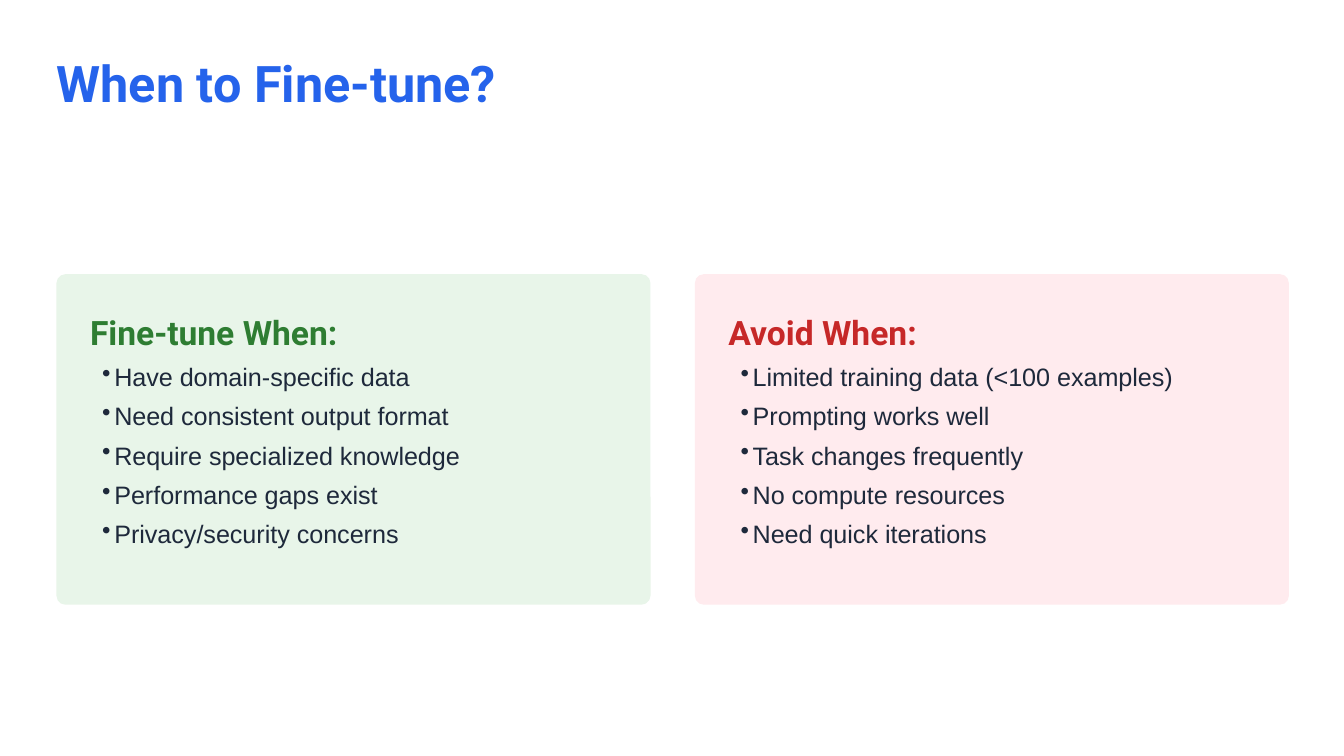
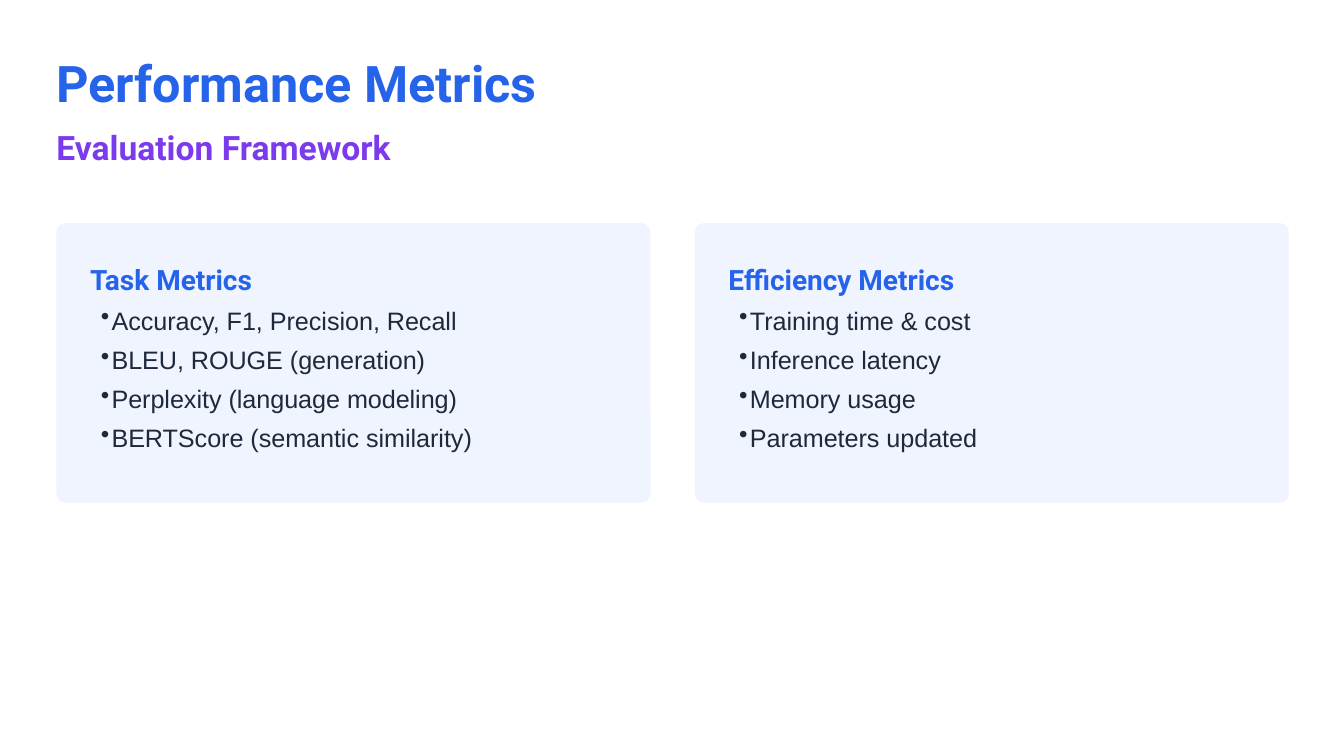
from lxml.etree import SubElement
from pptx import Presentation
from pptx.dml.color import RGBColor
from pptx.enum.shapes import MSO_SHAPE as Shape
from pptx.oxml.ns import qn
from pptx.util import Inches, Pt

BLUE, PURPLE, GREEN, RED = "2563EB", "7C3AED", "2E7D32", "C62828"
INK, WHITE = "1E293B", "FFFFFF"
PALE_BLUE, PALE_GREEN, PALE_RED = "F0F4FF", "E8F5E9", "FFEBEE"

HEADING_FONT, BODY_FONT = "Roboto", "Arial"
SLIDE_WIDTH = 10
MARGIN = 0.42
CARD_WIDTH, CARD_STEP, CARD_PADDING, CORNER_RADIUS = 4.42, 4.75, 0.25, 0.067


def color(hex_value):
    return RGBColor.from_string(hex_value)


def write_text(frame, lines, size, line_height, ink=INK, font=BODY_FONT,
               bold=False, space_after=0, bullet_indent=0):
    """Fill a text frame with one paragraph per line; lines are bulleted if bullet_indent is set."""
    frame.word_wrap = True
    frame.margin_top = frame.margin_right = frame.margin_bottom = 0
    frame.margin_left = Inches(bullet_indent)
    for index, line in enumerate(lines):
        paragraph = frame.add_paragraph() if index else frame.paragraphs[0]
        paragraph.line_spacing = Pt(line_height)
        paragraph.space_after = Pt(space_after)
        run = paragraph.add_run()
        run.text = line
        run.font.name, run.font.size, run.font.bold = font, Pt(size), bold
        run.font.color.rgb = color(ink)
        if bullet_indent:
            properties = paragraph._p.get_or_add_pPr()
            properties.set("marL", str(Inches(bullet_indent)))
            properties.set("indent", str(-Inches(bullet_indent)))
            SubElement(properties, qn("a:buSzPct")).set("val", "100000")
            SubElement(properties, qn("a:buChar")).set("char", "•")


class Deck:
    def __init__(self):
        self.presentation = Presentation()
        self.presentation.slide_width = Inches(SLIDE_WIDTH)
        self.presentation.slide_height = Inches(SLIDE_WIDTH * 9 / 16)
        self.slide = None

    def add_slide(self, title):
        self.slide = self.presentation.slides.add_slide(self.presentation.slide_layouts[6])
        background = self.slide.background.fill
        background.solid()
        background.fore_color.rgb = color(WHITE)
        self.heading(title, MARGIN, 0.42, 4.69, 27, 30, BLUE, space_after=24)

    def subtitle(self, text):
        self.heading(text, MARGIN, 0.91, 9.35, 18, 24, PURPLE, space_after=18)

    def text(self, lines, left, top, width, height, **style):
        box = self.slide.shapes.add_textbox(*map(Inches, (left, top, width, height)))
        write_text(box.text_frame, lines, **style)

    def heading(self, text, left, top, width, size, line_height, ink, space_after=0):
        self.text([text], left, top, width, line_height / 72, size=size,
                  line_height=line_height, ink=ink, font=HEADING_FONT, bold=True,
                  space_after=space_after)

    def panel(self, left, top, width, height, fill):
        shape = self.slide.shapes.add_shape(
            Shape.ROUNDED_RECTANGLE, *map(Inches, (left, top, width, height)))
        shape.adjustments[0] = CORNER_RADIUS / min(width, height)
        shape.shadow.inherit = False
        shape.fill.solid()
        shape.fill.fore_color.rgb = color(fill)
        shape.line.fill.background()

    def cards(self, cards, top, height, heading_size, heading_line, bullet_indent):
        """Place cards side by side, each given as (heading, heading colour, fill, bullet lines)."""
        heading_height = heading_line / 72
        for column, (title, ink, fill, lines) in enumerate(cards):
            left = MARGIN + column * CARD_STEP
            text_left, text_top = left + CARD_PADDING, top + CARD_PADDING
            self.panel(left, top, CARD_WIDTH, height, fill)
            self.heading(title, text_left, text_top, 4, heading_size, heading_line, ink)
            self.text(lines, text_left, text_top + heading_height,
                      CARD_WIDTH - 2 * CARD_PADDING,
                      height - 2 * CARD_PADDING - heading_height,
                      size=13.5, line_height=21, bullet_indent=bullet_indent)


def main():
    deck = Deck()

    deck.add_slide("When to Fine-tune?")
    deck.cards([
        ("Fine-tune When:", GREEN, PALE_GREEN, [
            "Have domain-specific data",
            "Need consistent output format",
            "Require specialized knowledge",
            "Performance gaps exist",
            "Privacy/security concerns",
        ]),
        ("Avoid When:", RED, PALE_RED, [
            "Limited training data (<100 examples)",
            "Prompting works well",
            "Task changes frequently",
            "No compute resources",
            "Need quick iterations",
        ]),
    ], top=2.04, height=2.46, heading_size=18, heading_line=24, bullet_indent=0.09)

    deck.add_slide("Performance Metrics")
    deck.subtitle("Evaluation Framework")
    deck.cards([
        ("Task Metrics", BLUE, PALE_BLUE, [
            "Accuracy, F1, Precision, Recall",
            "BLEU, ROUGE (generation)",
            "Perplexity (language modeling)",
            "BERTScore (semantic similarity)",
        ]),
        ("Efficiency Metrics", BLUE, PALE_BLUE, [
            "Training time & cost",
            "Inference latency",
            "Memory usage",
            "Parameters updated",
        ]),
    ], top=1.66, height=2.08, heading_size=15, heading_line=21, bullet_indent=0.08)

    deck.presentation.save("out.pptx")


if __name__ == "__main__":
    main()
